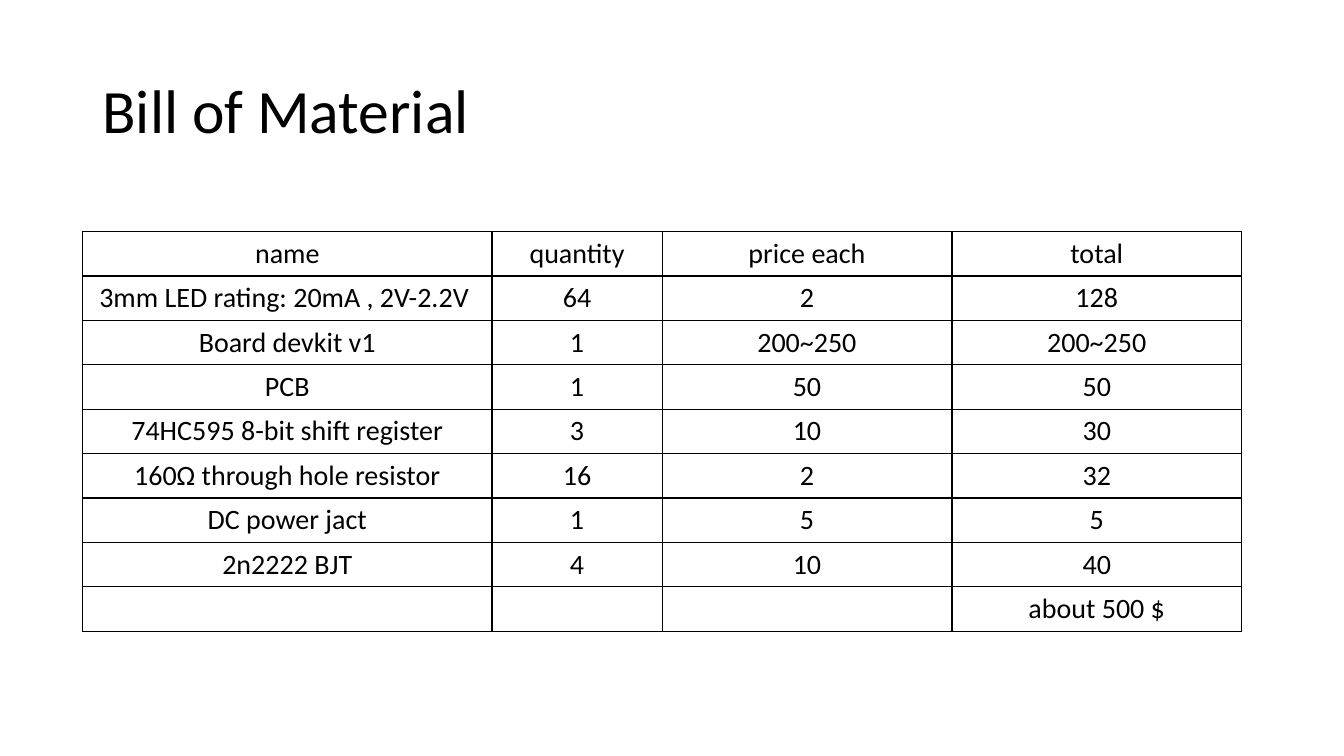
from lxml import etree
from pptx import Presentation
from pptx.dml.color import RGBColor
from pptx.enum import text
from pptx.oxml import ns
from pptx.util import Pt

FONT = "Calibri"
BLACK = "000000"
WHITE = "FFFFFF"
COLUMN_WIDTHS = (292.5, 121.5, 207, 207)
ROWS = (
    ("name", "quantity", "price each", "total"),
    ("3mm LED rating: 20mA , 2V-2.2V ", "64", "2", "128"),
    ("Board devkit v1", "1", "200~250", "200~250"),
    ("PCB", "1", "50", "50"),
    ("74HC595 8-bit shift register", "3", "10", "30"),
    ("160Ω through hole resistor", "16", "2", "32"),
    ("DC power jact", "1", "5", "5"),
    ("2n2222 BJT", "4", "10", "40"),
    ("", "", "", "about 500 $"),
)


def color(value):
    return RGBColor.from_string(value)


def style_paragraph(para, size, alignment):
    para.alignment = alignment
    para.font.name = FONT
    para.font.size = Pt(size)
    para.font.bold = False
    para.font.color.rgb = color(BLACK)


def add_borders(cell, width):
    properties = cell._tc.get_or_add_tcPr()
    for index, side in enumerate(("lnL", "lnR", "lnT", "lnB")):
        line = etree.Element(ns.qn(f"a:{side}"), w=str(Pt(width)))
        fill = etree.SubElement(line, ns.qn("a:solidFill"))
        etree.SubElement(fill, ns.qn("a:srgbClr"), val=BLACK)
        properties.insert(index, line)


def place_title(page, left, top, width, height):
    title = page.shapes.title
    title.left, title.top = Pt(left), Pt(top)
    title.width, title.height = Pt(width), Pt(height)
    title.text_frame.text = "Bill of Material"
    title.text_frame.vertical_anchor = text.MSO_ANCHOR.MIDDLE
    para = title.text_frame.paragraphs[0]
    para.line_spacing = 0.9
    style_paragraph(para, 44, text.PP_ALIGN.LEFT)


def add_materials_table(page, left, top, width, height):
    frame = page.shapes.add_table(
        len(ROWS), len(COLUMN_WIDTHS), Pt(left), Pt(top), Pt(width), Pt(height)
    )
    table = frame.table
    table.first_row = False
    table.horz_banding = False
    for column, column_width in zip(table.columns, COLUMN_WIDTHS):
        column.width = Pt(column_width)
    for row, values in zip(table.rows, ROWS):
        row.height = Pt(height / len(ROWS))
        for cell, value in zip(row.cells, values):
            cell.text = value
            cell.vertical_anchor = text.MSO_ANCHOR.MIDDLE
            cell.fill.background()
            add_borders(cell, 1)
            style_paragraph(cell.text_frame.paragraphs[0], 20, text.PP_ALIGN.CENTER)


def build_materials_page(deck):
    page = deck.slides.add_slide(deck.slide_layouts[5])
    page.background.fill.solid()
    page.background.fill.fore_color.rgb = color(WHITE)
    place_title(page, 66, 28.75, 828, 104.4)
    add_materials_table(page, 59, 165.4, sum(COLUMN_WIDTHS), 285.3)


def main():
    deck = Presentation()
    deck.slide_width, deck.slide_height = Pt(960), Pt(540)
    build_materials_page(deck)
    deck.save("out.pptx")


if __name__ == "__main__":
    main()
